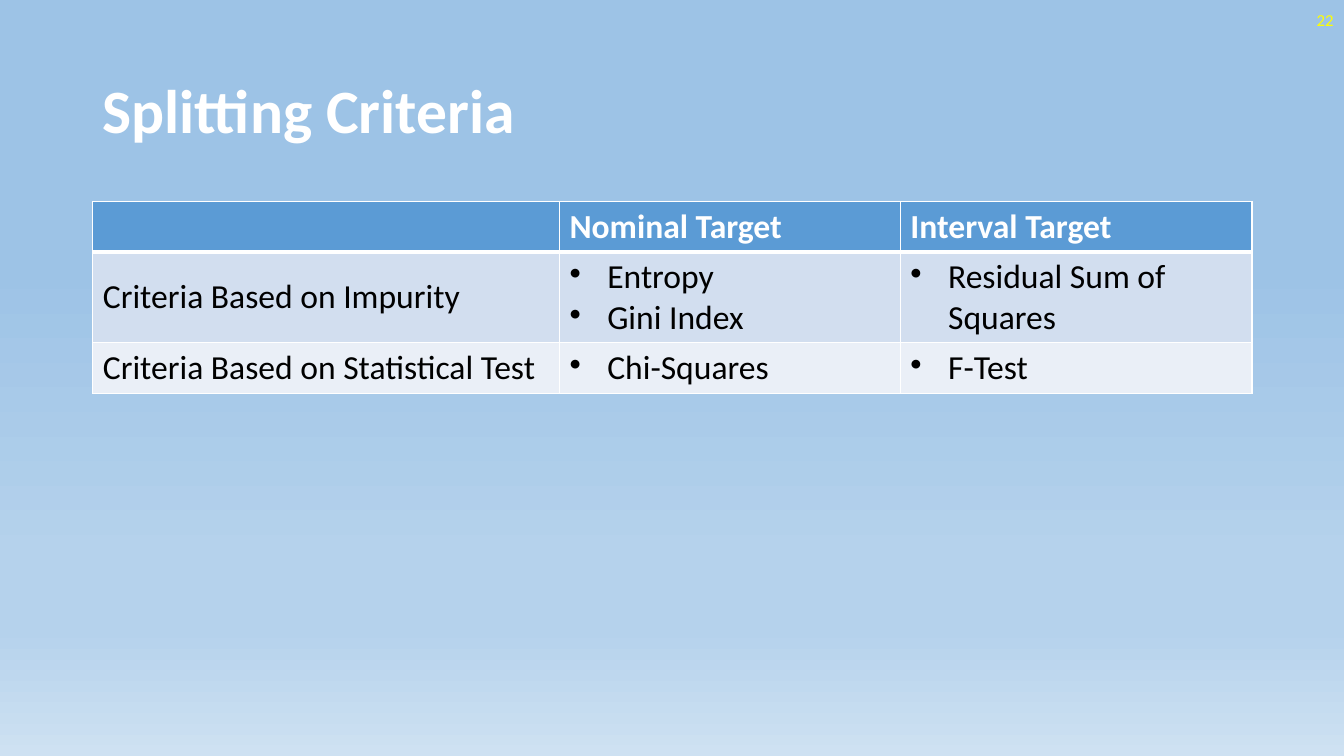
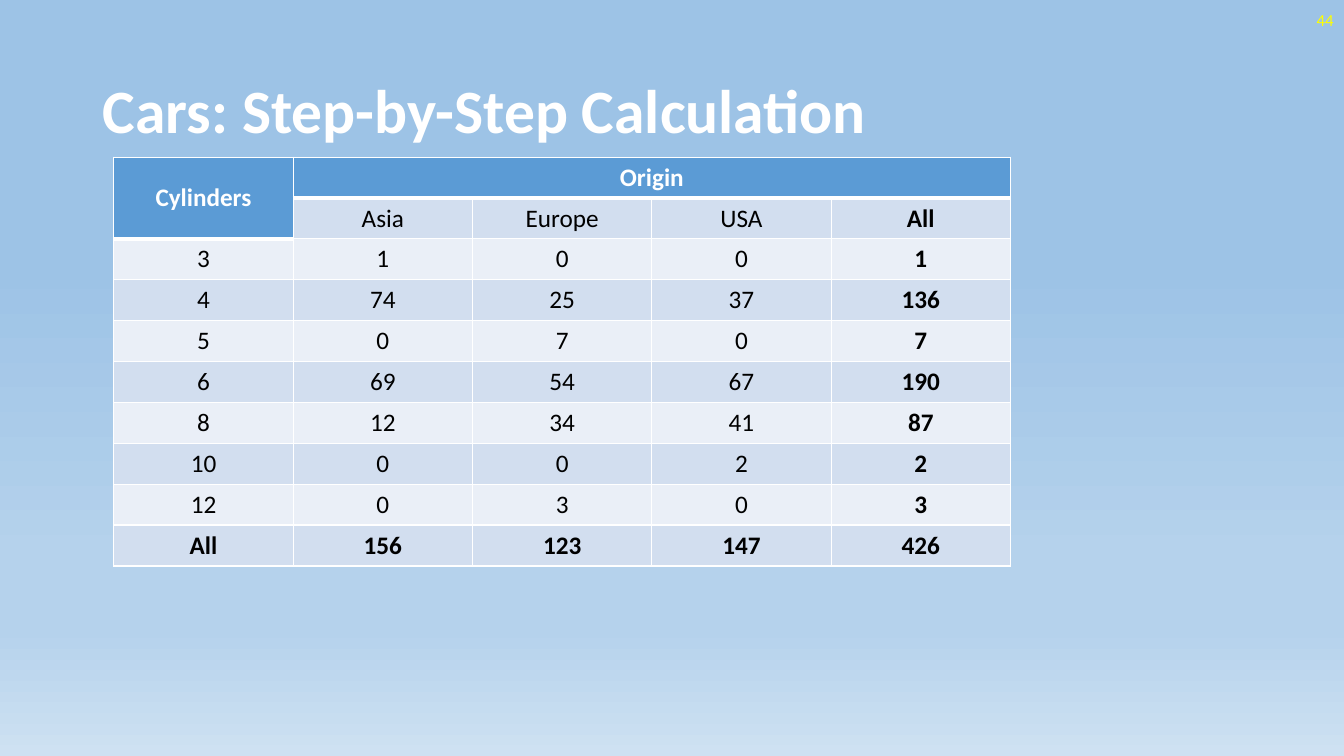
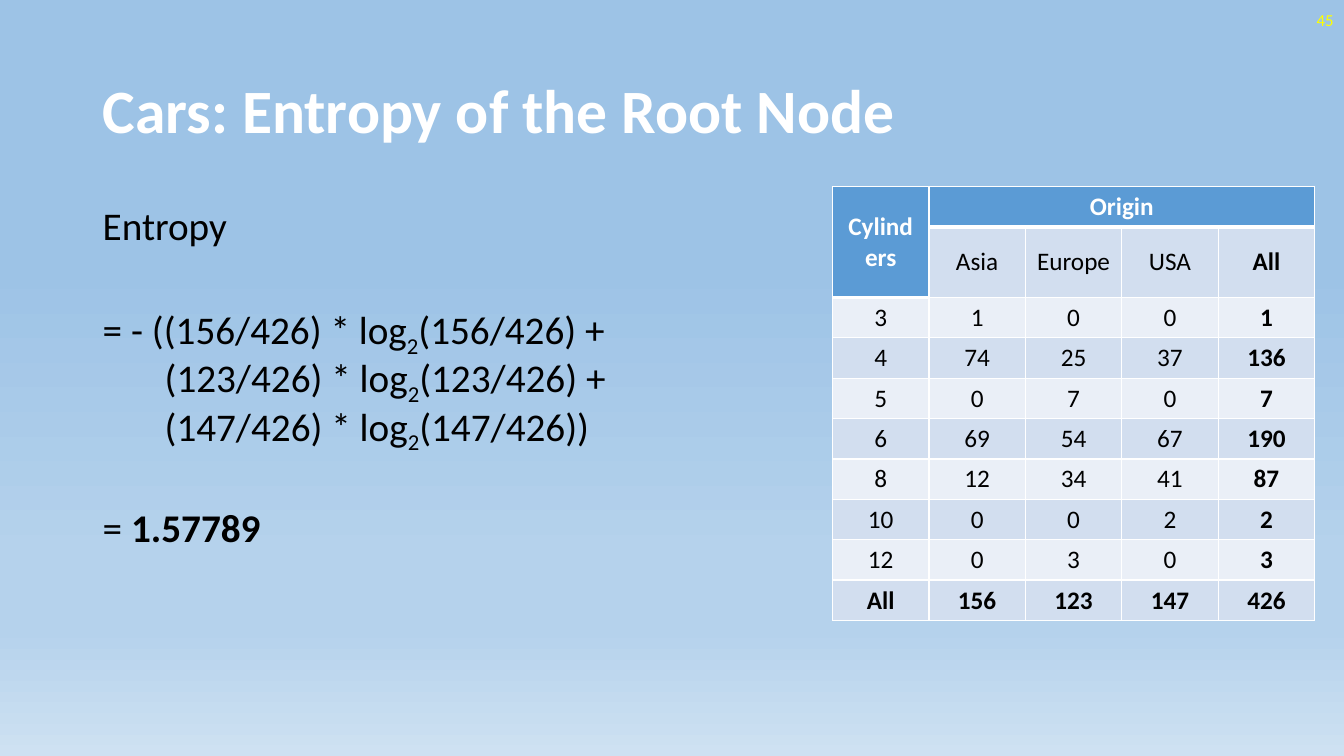
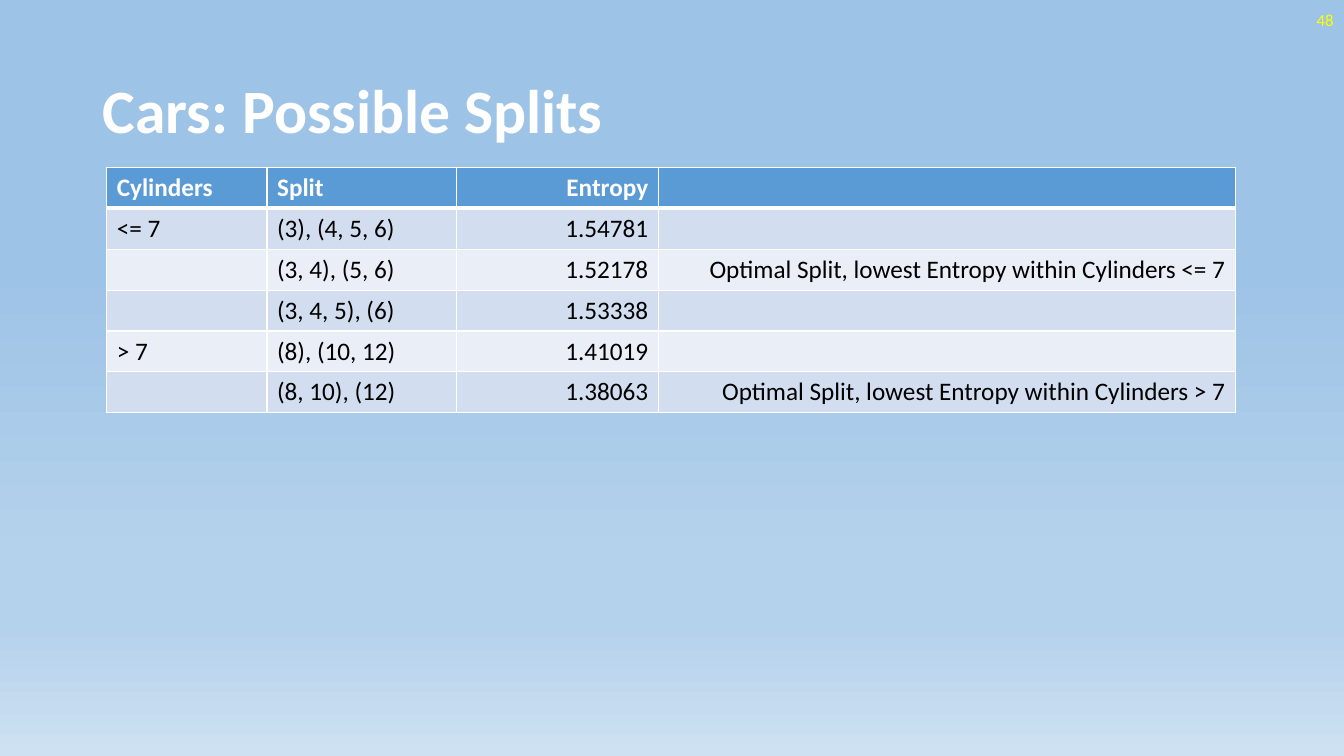
from lxml import etree
from pptx import Presentation
from pptx import util as u
from pptx.dml.color import RGBColor
from pptx.enum import text
from pptx.oxml import ns

# Shared look
FONT = "Calibri"
WHITE, BLACK, YELLOW = "FFFFFF", "000000", "FFFF00"
HEADER, BAND_DARK, BAND_LIGHT = "5B9BD5", "D2DEEF", "EAEFF7"
BACKGROUND_STOPS = [(35, "9DC3E6"), (74, "B5D2EC"), (83, "B5D2EC"), (100, "CEE1F2")]
LEFT, CENTER, RIGHT = (text.PP_ALIGN.LEFT, text.PP_ALIGN.CENTER, text.PP_ALIGN.RIGHT)
MIDDLE, TOP = text.MSO_ANCHOR.MIDDLE, text.MSO_ANCHOR.TOP

# Table contents
CRITERIA = [
    ["", "Nominal Target", "Interval Target"],
    ["Criteria Based on Impurity", ["Entropy", "Gini Index"], ["Residual Sum of Squares"]],
    ["Criteria Based on Statistical Test", ["Chi-Squares"], ["F-Test"]],
]
CYLINDER_COUNTS = [
    ["Cylinders", "Origin", "", "", ""],
    ["", "Asia", "Europe", "USA", "All"],
    [3, 1, 0, 0, 1],
    [4, 74, 25, 37, 136],
    [5, 0, 7, 0, 7],
    [6, 69, 54, 67, 190],
    [8, 12, 34, 41, 87],
    [10, 0, 0, 2, 2],
    [12, 0, 3, 0, 3],
    ["All", 156, 123, 147, 426],
]
SPLITS = [
    ["Cylinders", "Split", "Entropy", ""],
    ["<= 7", "(3), (4, 5, 6)", "1.54781", ""],
    ["", "(3, 4), (5, 6)", "1.52178", "Optimal Split, lowest Entropy within Cylinders <= 7"],
    ["", "(3, 4, 5), (6)", "1.53338", ""],
    ["> 7", "(8), (10, 12)", "1.41019", ""],
    ["", "(8, 10), (12)", "1.38063", "Optimal Split, lowest Entropy within Cylinders > 7"],
]


def rgb(value):
    return RGBColor.from_string(value)


def set_values(target, values):
    for name, value in values.items():
        setattr(target, name, value)


def add_xml(parent, tag, **attributes):
    return etree.SubElement(parent, ns.qn(tag), attributes)


# Text
def add_run(paragraph, words, size, color, bold=False, subscript=False):
    run = paragraph.add_run()
    run.text = str(words)
    set_values(run.font, {"name": FONT, "size": u.Pt(size), "bold": bold})
    run.font.color.rgb = rgb(color)
    if subscript:
        run._r.get_or_add_rPr().set("baseline", "-25000")


def next_paragraph(frame, first):
    return frame.paragraphs[0] if first else frame.add_paragraph()


def set_indent(paragraph, left, first_line=0):
    properties = paragraph._p.get_or_add_pPr()
    properties.set("marL", str(u.Cm(left)))
    properties.set("indent", str(u.Cm(first_line)))
    return properties


def add_text_box(slide, left, top, width, height, anchor=TOP):
    box = slide.shapes.add_textbox(u.Cm(left), u.Cm(top), u.Cm(width), u.Cm(height))
    set_values(box.text_frame, {"word_wrap": True, "vertical_anchor": anchor})
    return box.text_frame


# Slide frame
def set_background(master):
    fill = master.background.fill
    fill.gradient()
    fill.gradient_angle = 270
    stops = master.element.find(".//" + ns.qn("a:gsLst"))
    for stop in list(stops):
        stops.remove(stop)
    for position, color in BACKGROUND_STOPS:
        stop = add_xml(stops, "a:gs", pos=str(position * 1000))
        add_xml(stop, "a:srgbClr", val=color)


def add_slide(presentation, title, number):
    slide = presentation.slides.add_slide(presentation.slide_layouts[6])
    paragraph = add_text_box(slide, 2.34, 1.02, 29.21, 3.68, MIDDLE).paragraphs[0]
    paragraph.line_spacing = 0.9
    add_run(paragraph, title, 44, WHITE, bold=True)
    paragraph = add_text_box(slide, 26.24, 0, 7.62, 1.02, MIDDLE).paragraphs[0]
    paragraph.alignment = RIGHT
    add_run(paragraph, number, 12, YELLOW)
    return slide


# Tables
def set_borders(cell, top, bottom):
    properties = cell._tc.get_or_add_tcPr()
    for side, width in {"L": 1, "R": 1, "T": top, "B": bottom}.items():
        line = add_xml(properties, "a:ln" + side, w=str(u.Pt(width)))
        add_xml(add_xml(line, "a:solidFill"), "a:srgbClr", val=WHITE)


def fill_cell(cell, content, size, color, bold, alignment):
    bulleted = isinstance(content, list)
    for index, words in enumerate(content if bulleted else [content]):
        paragraph = next_paragraph(cell.text_frame, index == 0)
        paragraph.alignment = alignment
        if bulleted:
            add_xml(set_indent(paragraph, 0.95, -0.95), "a:buChar", char="•")
        if words != "":
            add_run(paragraph, words, size, color, bold)


def add_table(slide, rows, left, top, widths, row_height, alignments, size=18,
              header_depths=None, middle=lambda row, column: False,
              bold=lambda row, column: False):
    """Header depth is the number of header rows in each column."""
    depths = header_depths or [1] * len(widths)
    table = slide.shapes.add_table(
        len(rows), len(widths), u.Cm(left), u.Cm(top),
        u.Cm(sum(widths)), u.Cm(row_height * len(rows))).table
    table.horz_banding = False
    for column, width in enumerate(widths):
        table.columns[column].width = u.Cm(width)
    for row, contents in enumerate(rows):
        table.rows[row].height = u.Cm(row_height)
        for column, content in enumerate(contents):
            cell = table.cell(row, column)
            header = row < depths[column]
            set_borders(cell, 3 if row == depths[column] else 1, 3 if header else 1)
            cell.fill.solid()
            band = BAND_DARK if row % 2 else BAND_LIGHT
            cell.fill.fore_color.rgb = rgb(HEADER if header else band)
            cell.vertical_anchor = MIDDLE if middle(row, column) else TOP
            fill_cell(cell, content, size, WHITE if header else BLACK,
                      header or bold(row, column), alignments[column])
    return table


def add_count_table(slide, left, top, column_width, row_height):
    last_row, last_column = len(CYLINDER_COUNTS) - 1, 4
    table = add_table(
        slide, CYLINDER_COUNTS, left, top, [column_width] * 5, row_height, [CENTER] * 5,
        header_depths=[2, 1, 1, 1, 1], middle=lambda row, column: True,
        bold=lambda row, column: row == last_row or column == last_column)
    table.cell(0, 0).merge(table.cell(1, 0))
    table.cell(0, 1).merge(table.cell(0, last_column))


# Entropy formula
def add_entropy_formula(slide):
    frame = add_text_box(slide, 2.34, 5.08, 17.81, 12.09)

    def add_line(parts, space_before, indent=0):
        paragraph = next_paragraph(frame, not frame.text)
        set_values(paragraph, {"line_spacing": 0.9, "space_before": u.Pt(space_before)})
        set_indent(paragraph, indent)
        for words, style in parts:
            add_run(paragraph, words, 28, BLACK, **style)

    *counts, total = CYLINDER_COUNTS[-1][1:]
    add_line([("Entropy", {})], 10)
    for index, count in enumerate(counts):
        share = f"({count}/{total})"
        start = "" if index else "= - ("
        end = ")" if index == len(counts) - 1 else " +"
        add_line([(f"{start}{share} * log", {}), ("2", {"subscript": True}),
                  (share + end, {})], 0 if index else 41, 1.56 if index else 0)
    add_line([("= ", {}), ("1.57789", {"bold": True})], 41)


def main():
    presentation = Presentation()
    set_values(presentation, {"slide_width": u.Cm(33.87), "slide_height": u.Cm(19.05)})
    set_background(presentation.slide_master)

    slide = add_slide(presentation, "Splitting Criteria", 22)
    add_table(slide, CRITERIA, 2.34, 5.08, [11.76, 8.59, 8.86], 1.03, [LEFT] * 3, size=24,
              middle=lambda row, column: row > 0 and column == 0)

    slide = add_slide(presentation, "Cars: Step-by-Step Calculation", 44)
    add_count_table(slide, 2.87, 3.96, 4.52, 1.03)

    slide = add_slide(presentation, "Cars: Entropy of the Root Node", 45)
    add_entropy_formula(slide)
    add_count_table(slide, 20.98, 4.7, 2.43, 0.71)

    slide = add_slide(presentation, "Cars: Possible Splits", 48)
    add_table(slide, SPLITS, 2.69, 4.22, [4.04, 4.78, 5.08, 14.55], 1.03,
              [LEFT, LEFT, RIGHT, RIGHT])

    presentation.save("out.pptx")


if __name__ == "__main__":
    main()
